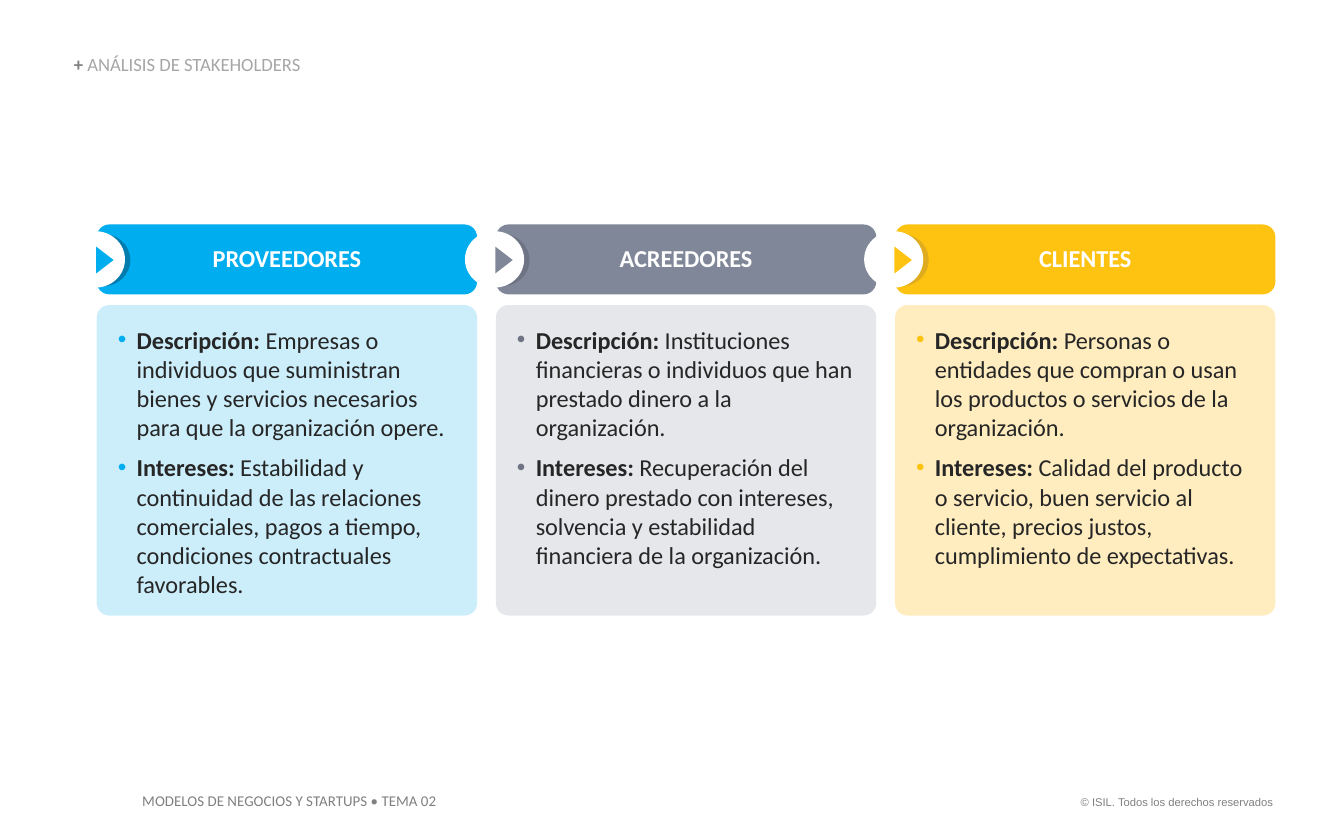
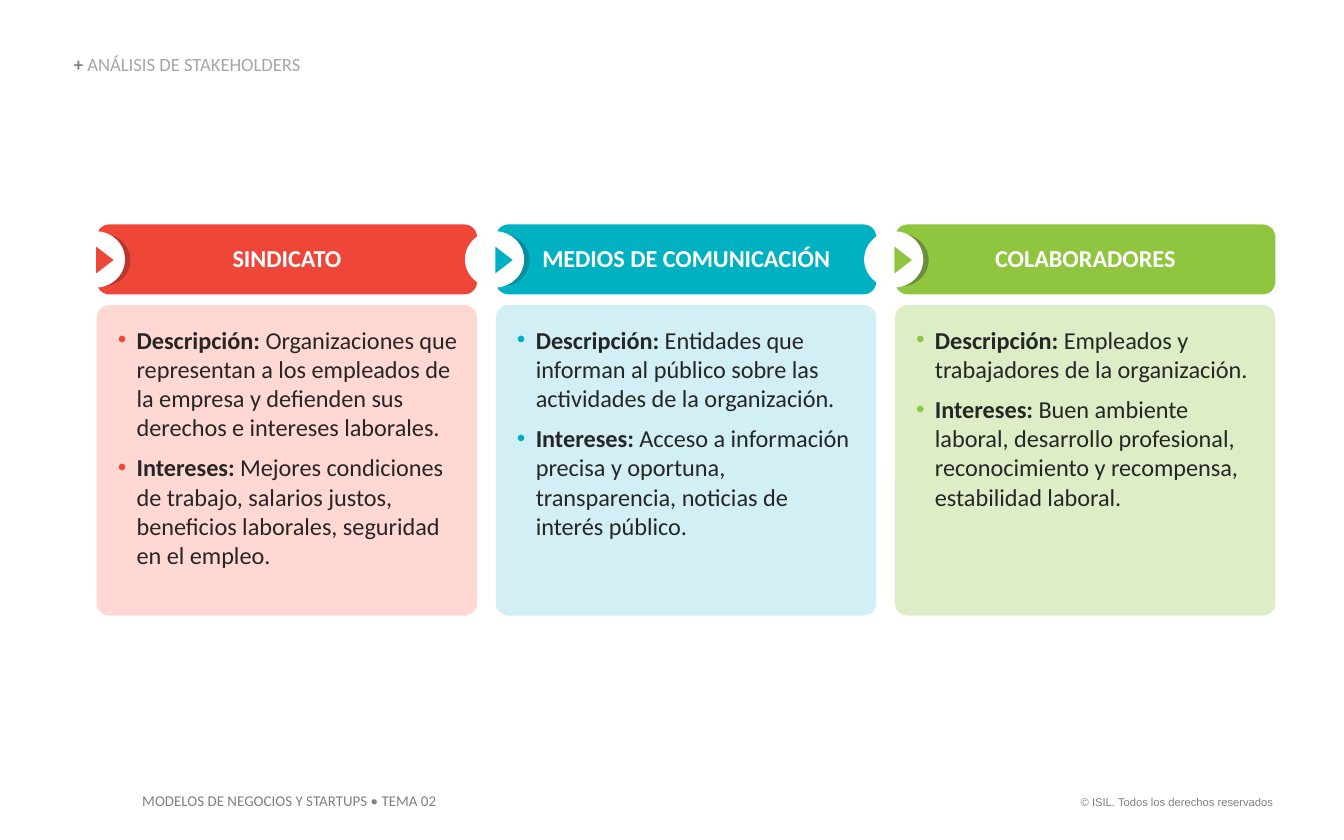
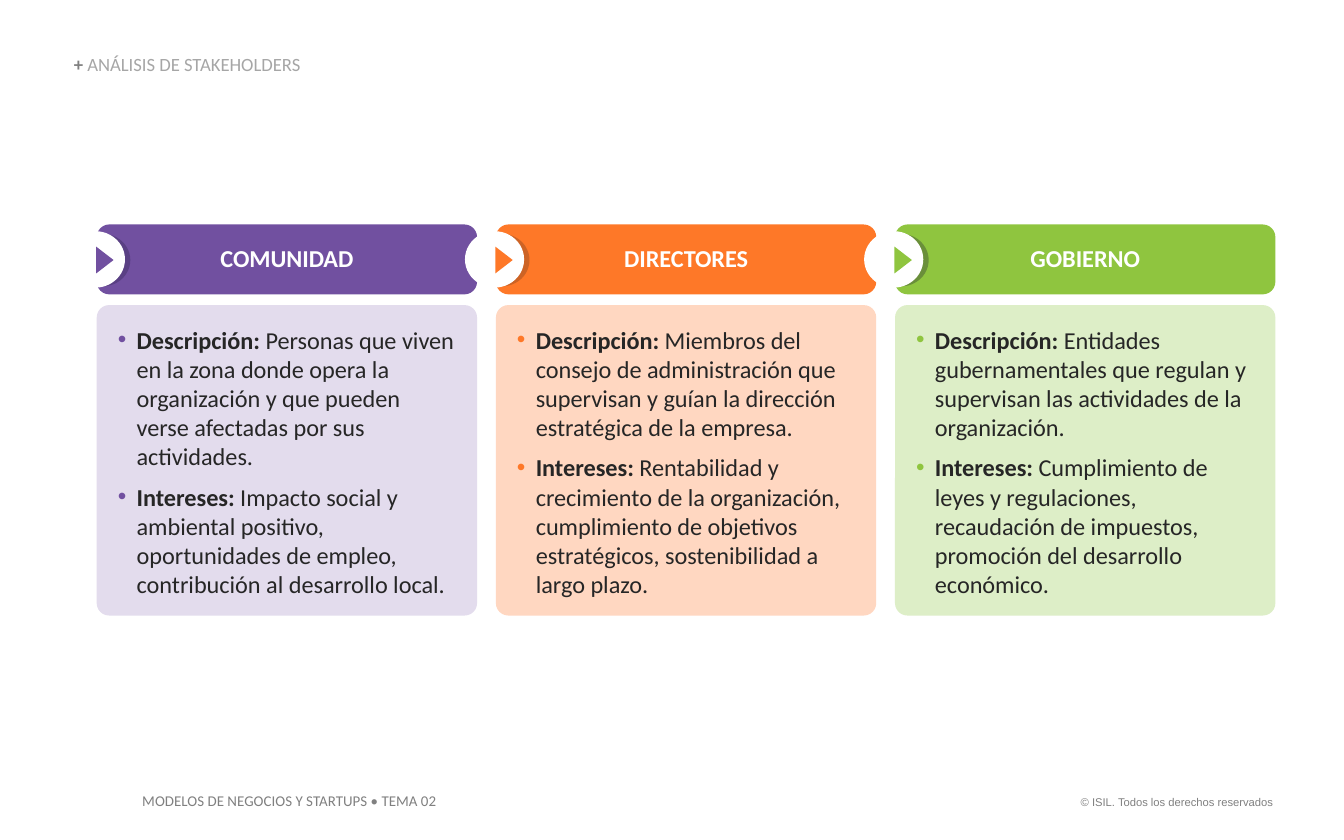
from pptx import Presentation
from pptx.dml.color import RGBColor
from pptx.enum.shapes import MSO_SHAPE as Shape
from pptx.enum.text import MSO_ANCHOR as Anchor, MSO_AUTO_SIZE as AutoSize, PP_ALIGN as Align
from pptx.oxml.ns import qn
from pptx.util import Inches, Pt
from lxml.etree import SubElement

COLORS = {
    "white": "FFFFFF", "text": "262626", "muted": "808080", "title": "A6A6A6",
    "blue": "00ADEE", "blue_shade": "007CAF",
    "gray": "808799", "gray_shade": "6E7484",
    "yellow": "FEC211", "yellow_soft": "FFEDBF", "yellow_shade": "DEAC1E",
    "red": "EE4639", "red_soft": "FFD8D4", "red_shade": "BB352E",
    "teal": "00B1C2", "teal_soft": "D1EFF4", "teal_shade": "088D9D",
    "green": "8FC53F", "green_soft": "DDEEC7", "green_shade": "6A8F3A",
    "purple": "7150A0", "purple_soft": "E3DCED", "purple_shade": "5A4084",
    "orange": "FE7828", "orange_soft": "FFD7C1", "orange_shade": "CD6325",
}
FONT = "Calibri"
TITLE = "ANÁLISIS DE STAKEHOLDERS"
CARD_LEFT, CARD_TOP, CARD_WIDTH, CARD_STEP = 0.72, 1.67, 2.83, 2.97
HEADER_HEIGHT, BODY_OFFSET, BODY_HEIGHT = 0.52, 0.6, 2.31

SLIDES = [
    [
        ("PROVEEDORES", "blue",
         "Empresas o individuos que suministran bienes y servicios necesarios "
         "para que la organización opere.",
         "Estabilidad y continuidad de las relaciones comerciales, pagos a tiempo, "
         "condiciones contractuales favorables."),
        ("ACREEDORES", "gray",
         "Instituciones financieras o individuos que han prestado dinero a la organización.",
         "Recuperación del dinero prestado con intereses, solvencia y estabilidad "
         "financiera de la organización."),
        ("CLIENTES", "yellow",
         "Personas o entidades que compran o usan los productos o servicios de la organización.",
         "Calidad del producto o servicio, buen servicio al cliente, precios justos, "
         "cumplimiento de expectativas."),
    ],
    [
        ("SINDICATO", "red",
         "Organizaciones que representan a los empleados de la empresa y defienden "
         "sus derechos e intereses laborales.",
         "Mejores condiciones de trabajo, salarios justos, beneficios laborales, "
         "seguridad en el empleo."),
        ("MEDIOS DE COMUNICACIÓN", "teal",
         "Entidades que informan al público sobre las actividades de la organización.",
         "Acceso a información precisa y oportuna, transparencia, noticias de interés público."),
        ("COLABORADORES", "green",
         "Empleados y trabajadores de la organización.",
         "Buen ambiente laboral, desarrollo profesional, reconocimiento y recompensa, "
         "estabilidad laboral."),
    ],
    [
        ("COMUNIDAD", "purple",
         "Personas que viven en la zona donde opera la organización y que pueden "
         "verse afectadas por sus actividades.",
         "Impacto social y ambiental positivo, oportunidades de empleo, "
         "contribución al desarrollo local."),
        ("DIRECTORES", "orange",
         "Miembros del consejo de administración que supervisan y guían la dirección "
         "estratégica de la empresa.",
         "Rentabilidad y crecimiento de la organización, cumplimiento de objetivos "
         "estratégicos, sostenibilidad a largo plazo."),
        ("GOBIERNO", "green",
         "Entidades gubernamentales que regulan y supervisan las actividades de la organización.",
         "Cumplimiento de leyes y regulaciones, recaudación de impuestos, promoción "
         "del desarrollo económico."),
    ],
]


def rgb(name):
    return RGBColor.from_string(COLORS[name])


def style(span, size, color, bold=False, font=FONT):
    span.font.name = font
    span.font.size = Pt(size)
    span.font.bold = bold
    span.font.color.rgb = rgb(color)


def add_span(para, text, size, color, bold=False):
    span = para.add_run()
    span.text = text
    style(span, size, color, bold)


def set_insets(frame, left, top, right, bottom):
    frame.margin_left, frame.margin_top = Inches(left), Inches(top)
    frame.margin_right, frame.margin_bottom = Inches(right), Inches(bottom)


def add_filled(group, kind, left, top, width, height, color):
    shape = group.shapes.add_shape(
        kind, Inches(left), Inches(top), Inches(width), Inches(height))
    shape.shadow.inherit = False
    shape.fill.solid()
    shape.fill.fore_color.rgb = rgb(color)
    shape.line.fill.background()
    return shape


def set_alpha(shape, percent):
    color = shape.element.spPr.find(qn("a:solidFill")).find(qn("a:srgbClr"))
    SubElement(color, qn("a:alpha"), val=str(percent * 1000))


def add_bullet(para, color):
    props = para._p.get_or_add_pPr()
    props.set("marL", str(Inches(0.15)))
    props.set("indent", str(Inches(-0.14)))
    SubElement(SubElement(props, qn("a:buClr")), qn("a:srgbClr"), val=COLORS[color])
    SubElement(props, qn("a:buFont"), typeface="Arial")
    SubElement(props, qn("a:buChar"), char="•")


def add_header(group, left, top, name, color):
    header = add_filled(group, Shape.ROUNDED_RECTANGLE, left, top,
                        CARD_WIDTH, HEADER_HEIGHT, color)
    header.adjustments[0] = 0.18
    frame = header.text_frame
    frame.text = name
    frame.word_wrap = True
    frame.vertical_anchor = Anchor.MIDDLE
    para = frame.paragraphs[0]
    para.alignment = Align.CENTER
    para.line_spacing = 0.9
    style(para.runs[0], 13, "white", True)


def add_body(group, left, top, color, entries):
    soft = f"{color}_soft"
    body = add_filled(group, Shape.ROUNDED_RECTANGLE, left, top, CARD_WIDTH, BODY_HEIGHT,
                      soft if soft in COLORS else color)
    if soft not in COLORS:
        set_alpha(body, 20)
    body.adjustments[0] = 0.04
    frame = body.text_frame
    frame.word_wrap = True
    frame.vertical_anchor = Anchor.TOP
    set_insets(frame, 0.12, 0.12, 0.12, 0.05)
    for number, (label, text) in enumerate(entries):
        para = frame.add_paragraph() if number else frame.paragraphs[0]
        add_bullet(para, "gray_shade" if color == "gray" else color)
        para.level = 1
        para.alignment = Align.LEFT
        para.space_after = Pt(6)
        add_span(para, f"{label}: ", 13, "text", True)
        add_span(para, text, 13, "text")


def add_marker(group, left, top, color):
    add_filled(group, Shape.OVAL, left - 0.16, top + 0.07, 0.41, 0.39, f"{color}_shade")
    add_filled(group, Shape.OVAL, left - 0.23, top + 0.05, 0.44, 0.42, "white")
    arrow = add_filled(group, Shape.ISOSCELES_TRIANGLE, left - 0.04, top + 0.2,
                       0.2, 0.13, color)
    arrow.rotation = 90


def add_card(page, left, top, name, color, description, interests):
    group = page.shapes.add_group_shape()
    add_header(group, left, top, name, color)
    add_body(group, left, top + BODY_OFFSET, color,
             [("Descripción", description), ("Intereses", interests)])
    add_marker(group, left, top, color)


def add_title(page):
    title = page.shapes.title
    title.left, title.top = Inches(0.55), Inches(0.41)
    title.width, title.height = Inches(4.25), Inches(0.15)
    frame = title.text_frame
    frame.word_wrap = True
    frame.auto_size = AutoSize.NONE
    frame.vertical_anchor = Anchor.BOTTOM
    set_insets(frame, 0, 0, 0, 0)
    para = frame.paragraphs[0]
    para.alignment = Align.LEFT
    para.line_spacing = 0.9
    para.space_before = Pt(0)
    add_span(para, "+ ", 10, "muted", True)
    add_span(para, TITLE, 10, "title")


def add_footer(page, left, top, width, height, text, size, font, align):
    box = page.shapes.add_textbox(Inches(left), Inches(top), Inches(width), Inches(height))
    frame = box.text_frame
    frame.text = text
    frame.word_wrap = True
    frame.paragraphs[0].alignment = align
    style(frame.paragraphs[0].runs[0], size, "muted", font=font)
    return box


def move_footers_to_layout(page, layout):
    for holder in list(layout.placeholders):
        if holder.placeholder_format.idx >= 10:
            layout.shapes.element.remove(holder.element)
    footers = [
        add_footer(page, 7.88, 5.87, 1.69, 0.2, "© ISIL. Todos los derechos reservados",
                   6, "Arial", Align.RIGHT),
        add_footer(page, 0.96, 5.84, 2.45, 0.24, "MODELOS DE NEGOCIOS Y STARTUPS • TEMA 02",
                   8, FONT, Align.LEFT),
    ]
    for box in footers:
        layout.shapes.element.append(box.element)


def add_stakeholders(deck, layout, cards):
    page = deck.slides.add_slide(layout)
    add_title(page)
    for column, card in enumerate(cards):
        add_card(page, CARD_LEFT + column * CARD_STEP, CARD_TOP, *card)
    return page


def main():
    deck = Presentation()
    deck.slide_width, deck.slide_height = Inches(10), Inches(6.25)
    layout = deck.slide_layouts[5]
    pages = [add_stakeholders(deck, layout, cards) for cards in SLIDES]
    move_footers_to_layout(pages[0], layout)
    deck.save("out.pptx")


if __name__ == "__main__":
    main()
